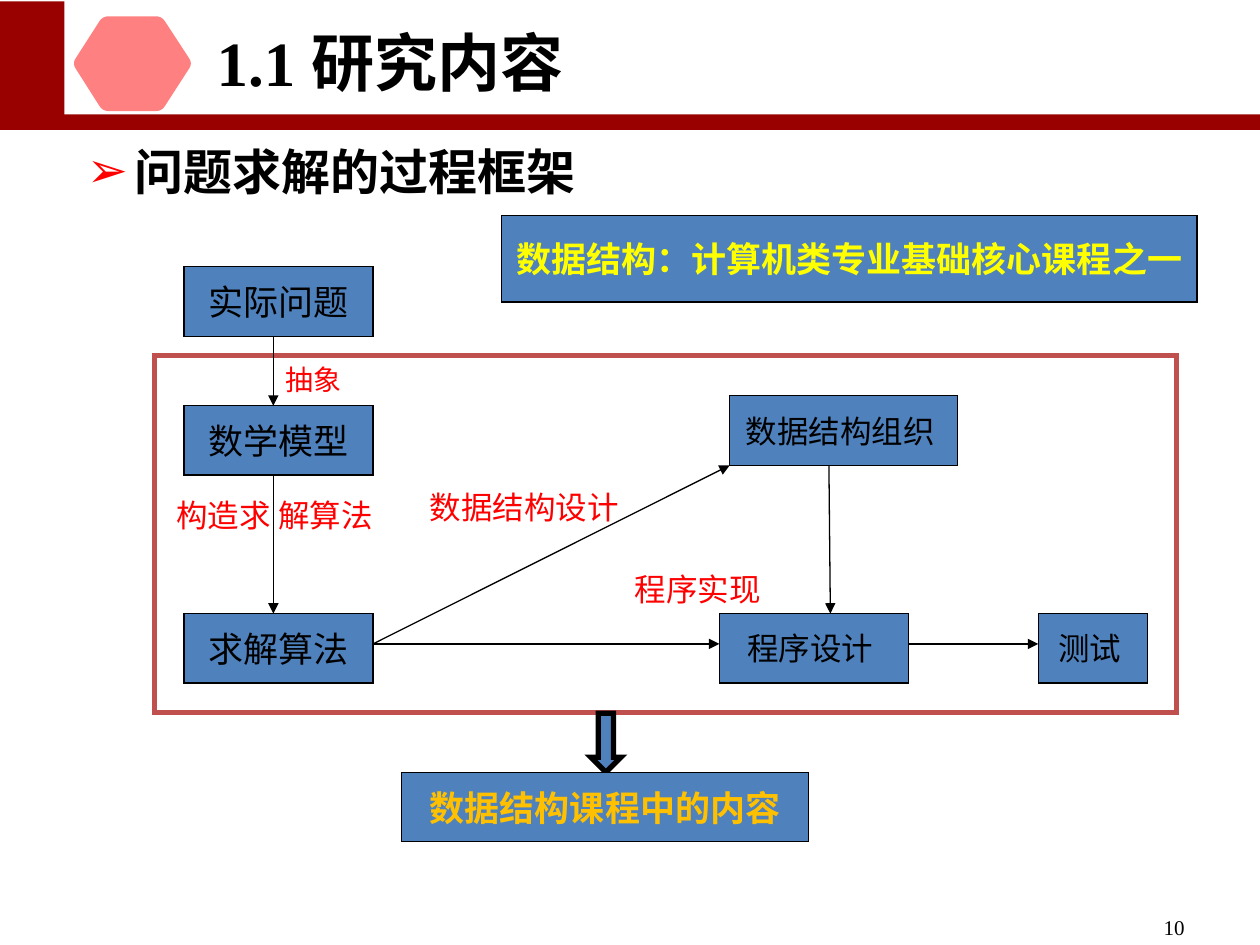
from lxml import etree
from pptx import Presentation
from pptx import util as u
from pptx.dml.color import RGBColor
from pptx.enum import shapes, text
from pptx.oxml import ns

THEME = {
    "bar": "990000", "white": "FFFFFF", "hex": "FF8080", "box": "4F81BD",
    "frame": "C0504D", "ink": "000000", "note": "FF0000", "gold": "FFC000",
    "yellow": "FFFF00", "sans": "Arial", "serif": "Times New Roman",
    "cjk": "Noto Sans CJK SC", "title": 36, "head": 28, "big": 20,
    "mid": 18, "small": 16, "page": 12, "thin": 0.75, "thick": 3,
}
KIND = shapes.MSO_SHAPE
MID = text.MSO_ANCHOR.MIDDLE
ALIGN = text.PP_ALIGN


def style(shape, fill=None, line=None, width="thin"):
    shape.shadow.inherit = False
    if fill:
        shape.fill.solid()
        shape.fill.fore_color.rgb = RGBColor.from_string(THEME[fill])
    else:
        shape.fill.background()
    if line:
        shape.line.color.rgb = RGBColor.from_string(THEME[line])
        shape.line.width = u.Pt(THEME[width])
        etree.SubElement(shape.line._get_or_add_ln(), ns.qn("a:miter"),
                         lim="800000")
    else:
        shape.line.fill.background()


def write(shape, words, size, color="ink", bold=False, face="sans",
          align=ALIGN.CENTER, **frame):
    """Add a run to the first paragraph and format the text frame."""
    body = shape.text_frame
    for key, value in frame.items():
        setattr(body, key, value)
    para = body.paragraphs[0]
    para.alignment = align
    run = para.add_run()
    run.text = words
    form = {"name": THEME[face], "size": u.Pt(THEME[size]), "bold": bold}
    for key, value in form.items():
        setattr(run.font, key, value)
    run.font.color.rgb = RGBColor.from_string(THEME[color])
    return run


deck = Presentation()
deck.slide_width, deck.slide_height = u.Cm(25.4), u.Cm(19.05)
slide = deck.slides.add_slide(deck.slide_layouts[5])
items = slide.shapes

# Header band, course frame and the arrow leading out of it
for kind, at, look in [
    (KIND.RECTANGLE, (0, 0.03, 25.4, 2.59), ("bar",)),
    (KIND.RECTANGLE, (1.3, 0, 24.1, 2.31), ("white",)),
    (KIND.RECTANGLE, (3.12, 7.16, 20.6, 7.21), (None, "frame", "thick")),
    (KIND.DOWN_ARROW, (11.91, 14.38, 0.61, 1.19), ("box", "ink", "thick")),
]:
    style(items.add_shape(kind, *map(u.Cm, at)), *look)

# Bulleted heading
head = items.add_textbox(*map(u.Cm, (1.5, 2.72, 22.2, 1.8)))
write(head, "问题求解的过程框架", "head", bold=True, face="serif",
      align=ALIGN.LEFT, word_wrap=True)
props = head.text_frame.paragraphs[0]._p.get_or_add_pPr()
props.set("marL", str(u.Cm(0.97)))
props.set("indent", str(-u.Cm(0.97)))
tint = etree.SubElement(props, ns.qn("a:buClr"))
etree.SubElement(tint, ns.qn("a:srgbClr"), val=THEME["note"])
etree.SubElement(props, ns.qn("a:buFont"), typeface=THEME["sans"])
etree.SubElement(props, ns.qn("a:buChar"), char="➢")

# Flow boxes: words, left, top, width, size, colour, bold, height
LEFT, WIDE, HIGH, BASE = 3.71, 3.81, 1.4, 12.37
for words, x, y, w, size, color, bold, h in [
    ("实际问题", LEFT, 5.38, WIDE, "big", "ink", False, HIGH),
    ("数学模型", LEFT, 8.18, WIDE, "big", "ink", False, HIGH),
    ("求解算法", LEFT, BASE, WIDE, "big", "ink", False, HIGH),
    ("程序设计 ", 14.5, BASE, WIDE, "mid", "ink", False, HIGH),
    ("测试 ", 20.93, BASE, 2.21, "mid", "ink", False, HIGH),
    ("数据结构组织 ", 14.71, 7.98, 4.6, "mid", "ink", False, HIGH),
    ("数据结构课程中的内容", 8.1, 15.57, 8.2, "big", "gold", True, HIGH),
    ("数据结构：计算机类专业基础核心课程之一", 10.11, 4.34, 14.02,
     "big", "yellow", True, 1.75),
]:
    box = items.add_shape(KIND.RECTANGLE, *map(u.Cm, (x, y, w, h)))
    style(box, "box", "ink")
    write(box, words, size, color, bold,
          word_wrap=False, vertical_anchor=MID)

# Arrows between the boxes
for ends in [
    (5.51, 6.78, 5.51, 8.18), (5.51, 9.58, 5.51, BASE),
    (7.52, 12.98, 14.71, 9.38), (7.52, 12.98, 14.5, 12.98),
    (16.71, 9.38, 16.74, BASE), (18.31, 12.98, 20.93, 12.98),
]:
    link = items.add_connector(shapes.MSO_CONNECTOR.STRAIGHT,
                               *map(u.Cm, ends))
    link.line.color.rgb = RGBColor.from_string(THEME["ink"])
    link.line.width = u.Pt(THEME["thin"])
    etree.SubElement(link.line._get_or_add_ln(), ns.qn("a:tailEnd"),
                     type="triangle")
    etree.SubElement(link._element.spPr, ns.qn("a:effectLst"))

# Arrow labels, each wide enough for one line
for words, x, y, w, size in [
    ("抽象", 5.52, 7.16, 1.6, "small"),
    ("构造求 解算法", 3.39, 9.88, 4.29, "mid"),
    ("数据结构设计", 8.47, 9.73, 4.2, "mid"),
    ("程序实现", 12.16, 11.38, 3.81, "mid"),
]:
    note = items.add_textbox(*map(u.Cm, (x, y, w, 0.99)))
    write(note, words, size, "note", word_wrap=False,
          vertical_anchor=MID, margin_left=0, margin_right=0)

page = items.add_textbox(*map(u.Cm, (18.21, 18.31, 5.92, 0.64)))
write(page, "10", "page", face="serif", align=ALIGN.RIGHT, word_wrap=True)

# Title, brought in front of the header band
title = items.title
title.element.getparent().append(title.element)
for key, value in zip(("left", "top", "width", "height"),
                      (1.98, 0.33, 11.76, 1.8)):
    setattr(title, key, u.Cm(value))
write(title, "1.1 ", "title", bold=True, face="serif",
      word_wrap=True, vertical_anchor=MID)
name = write(title, "研究内容", "title", bold=True, face="cjk")
etree.SubElement(name.font._element, ns.qn("a:ea"), typeface=THEME["cjk"])

# Hexagon with each corner rounded by a quadratic curve
CUT, STEPS = 0.12, 6
tips = [(1.46, 1.28), (2.07, 0.33), (3.26, 0.33),
        (3.88, 1.28), (3.26, 2.24), (2.07, 2.24)]
curve = []
for i, (x, y) in enumerate(tips):
    near = []
    for px, py in (tips[i - 1], tips[(i + 1) % len(tips)]):
        part = CUT / ((px - x) ** 2 + (py - y) ** 2) ** 0.5
        near.append((x + (px - x) * part, y + (py - y) * part))
    (ax, ay), (bx, by) = near
    for step in range(STEPS + 1):
        t = step / STEPS
        a, m, b = (1 - t) ** 2, 2 * t * (1 - t), t ** 2
        curve.append((u.Cm(a * ax + m * x + b * bx),
                      u.Cm(a * ay + m * y + b * by)))
edge = items.build_freeform(*curve[0])
edge.add_line_segments(curve[1:], close=True)
style(edge.convert_to_shape(), "hex")

deck.save("out.pptx")
